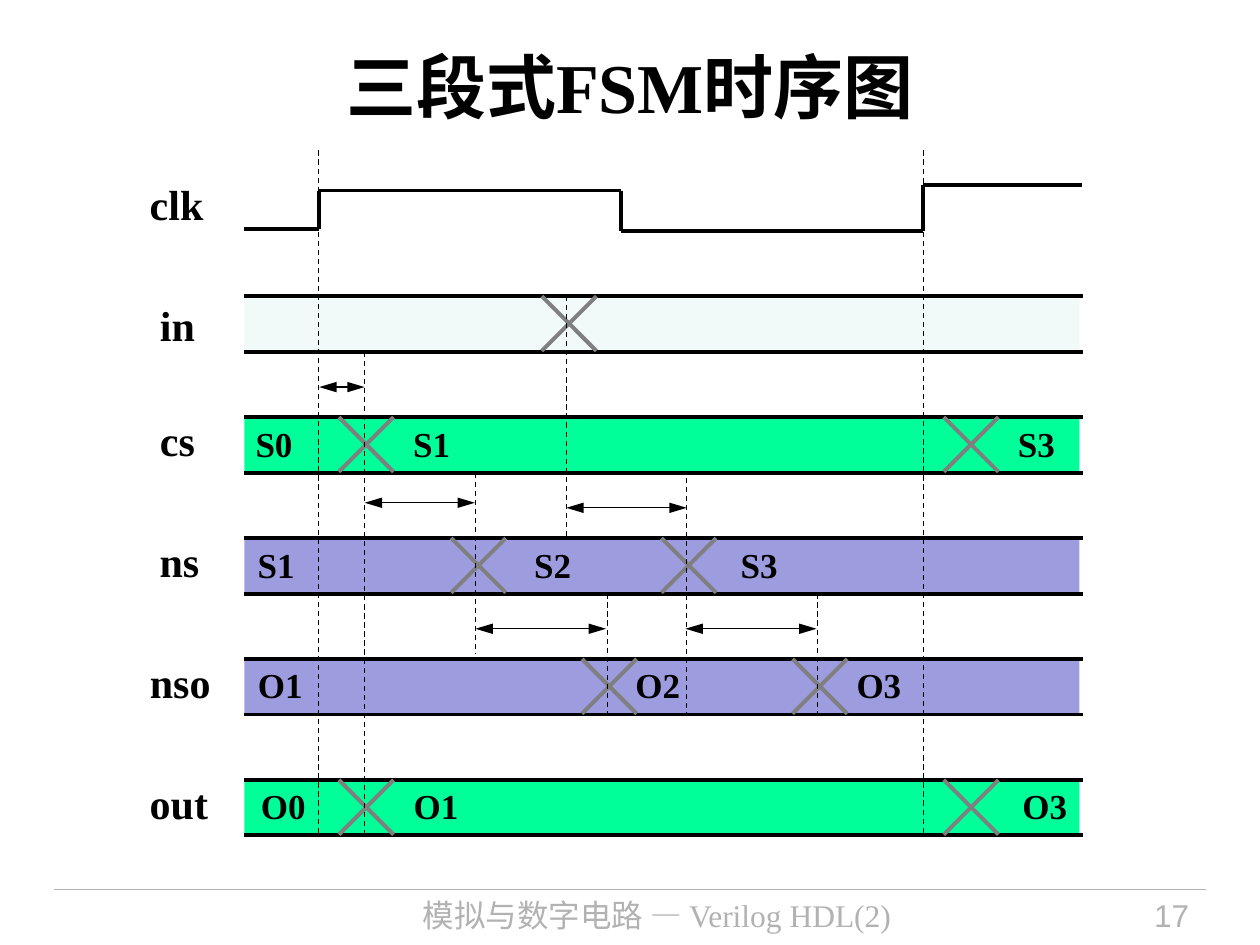
from pptx import Presentation
from pptx.dml.color import RGBColor
from pptx.enum.dml import MSO_LINE
from pptx.enum.shapes import MSO_CONNECTOR, MSO_SHAPE
from pptx.enum.text import MSO_ANCHOR, MSO_AUTO_SIZE, PP_ALIGN
from pptx.oxml.ns import qn
from pptx.util import Pt
from lxml import etree

STRAIGHT = MSO_CONNECTOR.STRAIGHT
RECTANGLE = MSO_SHAPE.RECTANGLE
DASH = MSO_LINE.DASH
TOP, MIDDLE = MSO_ANCHOR.TOP, MSO_ANCHOR.MIDDLE
FIT_SHAPE, NO_FIT = MSO_AUTO_SIZE.SHAPE_TO_FIT_TEXT, MSO_AUTO_SIZE.NONE
CENTER, RIGHT = PP_ALIGN.CENTER, PP_ALIGN.RIGHT
SERIF = "Times New Roman"


def add_line(shapes, x1, y1, x2, y2, color="000000", width=2.25, dash=None, arrows=False):
    c = shapes.add_connector(STRAIGHT, Pt(x1), Pt(y1), Pt(x2), Pt(y2))
    c.line.color.rgb = RGBColor.from_string(color)
    c.line.width = Pt(width)
    if dash:
        c.line.dash_style = dash
    if arrows:
        ln = c.line._get_or_add_ln()
        for end in ("a:headEnd", "a:tailEnd"):
            etree.SubElement(ln, qn(end), type="triangle", w="med", len="lg")
    etree.SubElement(c._element.spPr, qn("a:effectLst"))


def add_text(text, x, y, w, h, size, color="000000", bold=True, font=SERIF,
             align=CENTER, anchor=TOP, wrap=False, inset=(7.2, 3.6)):
    tf = s.shapes.add_textbox(Pt(x), Pt(y), Pt(w), Pt(h)).text_frame
    tf.word_wrap = wrap
    tf.auto_size = NO_FIT if wrap else FIT_SHAPE
    tf.vertical_anchor = anchor
    tf.margin_left = tf.margin_right = Pt(inset[0])
    tf.margin_top = tf.margin_bottom = Pt(inset[1])
    p = tf.paragraphs[0]
    p.text = text
    p.alignment = align
    r = p.runs[0]
    r.font.size = Pt(size)
    r.font.bold = bold
    r.font.name = font
    r.font.color.rgb = RGBColor.from_string(color)


prs = Presentation()
prs.slide_width, prs.slide_height = Pt(720), Pt(540)
s = prs.slides.add_slide(prs.slide_layouts[6])

add_line(s.shapes, 31, 508.2, 689, 508.2, "B2B2B2", 0.75)
add_text("三段式FSM时序图", 36, 11.5, 648, 74.2, 40, anchor=MIDDLE, wrap=True)

LEFT, END = 139.6, 618.8
FIRST_ROW, PITCH, BAND_H, CROSS = 169.3, 69.1, 31.7, 31.2
signals = [
    ("in", 84, 34.8, 167.8, "F1F9F9", [309.6], []),
    ("cs", 84, 34.8, 233.5, "00FF99", [193.7, 539.3],
     [("S0", 145.8), ("S1", 235.9), ("S3", 581.4)]),
    ("ns", 83.8, 37.4, 302.6, "9C9CDF", [257.8, 378],
     [("S1", 147), ("S2", 305), ("S3", 423)]),
    ("nso", 78.5, 49, 371.5, "9C9CDF", [332.6, 452.9],
     [("O1", 147.2), ("O2", 362.9), ("O3", 489.3)]),
    ("out", 78.5, 47.5, 440.6, "00FF99", [193.7, 539.3],
     [("O0", 149), ("O1", 236.2), ("O3", 584.1)]),
]

add_text("clk", 78.2, 98.6, 45.4, 36, 24)
clock = [(139.2, 131.1), (182.2, 131.1), (182.2, 108.9), (355, 108.9),
         (355, 132), (527.6, 132), (527.6, 105.8), (618.5, 105.8)]
for start, end in zip(clock, clock[1:]):
    add_line(s.shapes, *start, *end)

for i, (name, x, w, label_y, color, crosses, states) in enumerate(signals):
    y = FIRST_ROW + i * PITCH
    sp = s.shapes.add_shape(RECTANGLE, Pt(LEFT), Pt(y), Pt(477.2), Pt(BAND_H))
    sp.shadow.inherit = False
    sp.fill.solid()
    sp.fill.fore_color.rgb = RGBColor.from_string(color)
    sp.line.fill.background()
    for edge in (y, y + BAND_H):
        add_line(s.shapes, LEFT, edge, END, edge)
    for cx in crosses:
        group = s.shapes.add_group_shape()
        for y1, y2 in ((y, y + CROSS), (y + CROSS, y)):
            add_line(group.shapes, cx, y1, cx + CROSS, y2, "7F7F7F")
    add_text(name, x, label_y, w, 36, 24)
    for state, sx in states:
        add_text(state, sx, y + 2.9, 21.6 if state[0] == "S" else 25.9, 23.8, 20,
                 anchor=MIDDLE, inset=(0, 0))

for x, y1, y2 in [(182.2, 86, 477.4), (527.8, 86, 477.4), (323.6, 169.2, 307.4),
                  (208.4, 200.9, 477.4), (392.4, 272.9, 408.2), (347.1, 339.1, 408.2),
                  (467.3, 339.1, 408.2), (271.7, 270, 373.7)]:
    add_line(s.shapes, x, y1, x, y2, width=0.75, dash=DASH)

for x1, x2, y in [(182.4, 208.4, 221.2), (208.4, 271.4, 287.3), (323.6, 392.4, 290.2),
                  (271.7, 346.3, 359.3), (391.7, 466.6, 359.3)]:
    add_line(s.shapes, x1, y, x2, y, width=0.75, arrows=True)

add_text("模拟与数字电路 — Verilog HDL(2)", 172.8, 508.3, 405.4, 31.7, 18, "B2B2B2",
         bold=False, wrap=True)
add_text("17", 590.6, 508.3, 96, 31.7, 18, "B2B2B2", bold=False, font="Arial",
         align=RIGHT, wrap=True)

prs.save("out.pptx")
